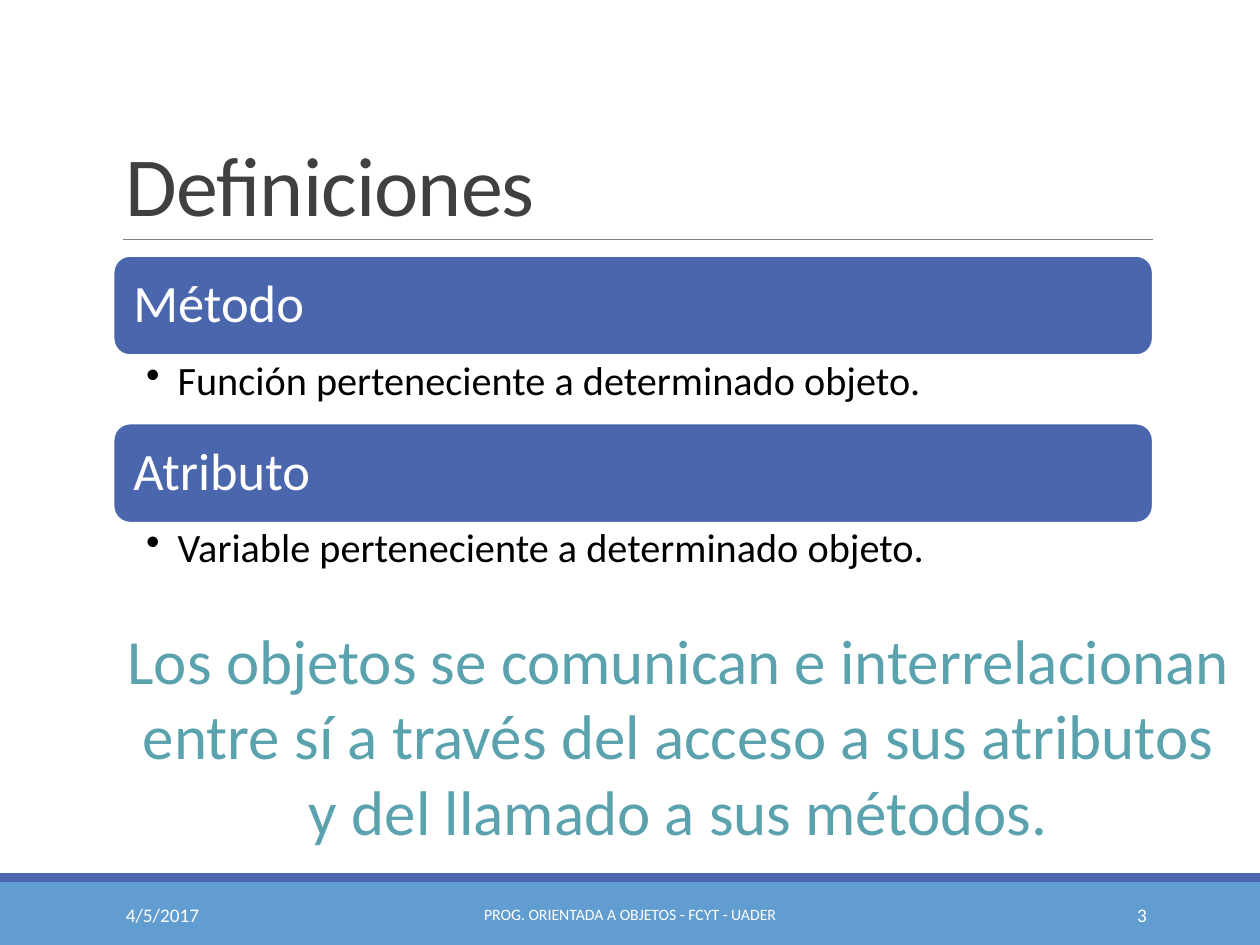
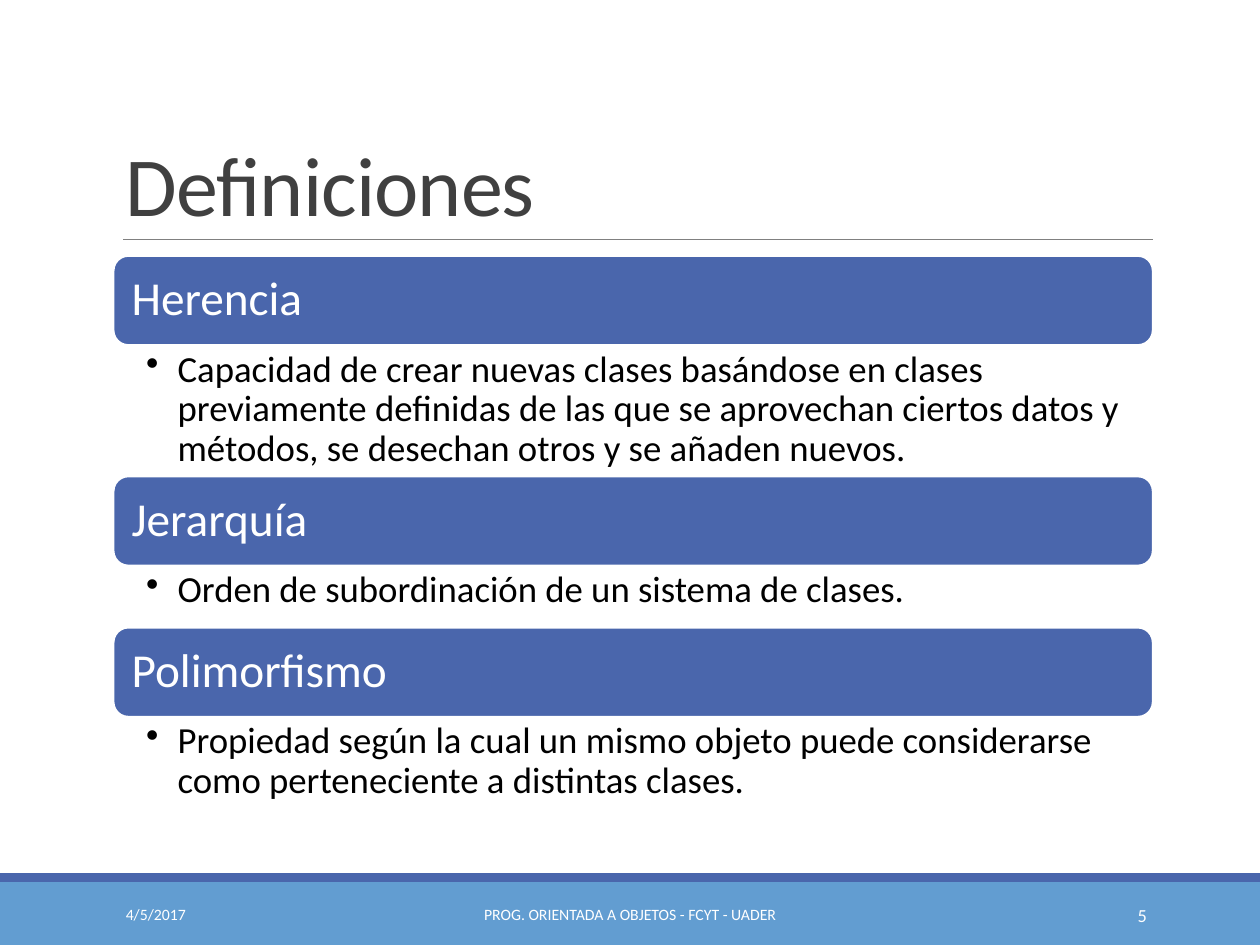
from lxml.etree import SubElement
from pptx import Presentation
from pptx.dml.color import RGBColor
from pptx.enum.shapes import MSO_CONNECTOR, MSO_SHAPE as Shape
from pptx.enum.text import MSO_ANCHOR as Anchor, PP_ALIGN as Align
from pptx.oxml.ns import qn
from pptx.util import Inches, Pt

WHITE = RGBColor(0xFF, 0xFF, 0xFF)
BLACK = RGBColor(0, 0, 0)
CHARCOAL = RGBColor(0x40, 0x40, 0x40)
GRAY = RGBColor(0x80, 0x80, 0x80)
SKY = RGBColor(0x62, 0x9D, 0xD1)
BLUE = RGBColor(0x4A, 0x66, 0xAC)
TEAL = RGBColor(0x5A, 0xA2, 0xAE)
FONT = "Calibri"
LEFT, WIDTH = 0.9, 8.25
FOOTER = "PROG. ORIENTADA A OBJETOS - FCYT - UADER"


class Deck:
    def __init__(self):
        self.presentation = Presentation()
        self.presentation.slide_width = Inches(10)
        self.presentation.slide_height = Inches(7.5)
        self.slide = None

    def new_slide(self, title, date_size, number, number_size):
        self.slide = self.presentation.slides.add_slide(self.presentation.slide_layouts[6])
        self.shape(Shape.RECTANGLE, 0, 7, 10, 0.5, SKY)
        self.shape(Shape.RECTANGLE, 0, 6.93, 10, 0.07, BLUE)
        self.rule(0.98, 9.15, 1.9)
        self.title(title)
        self.text(LEFT, 7.06, 2.03, 0.4, "4/5/2017", date_size, WHITE, anchor=Anchor.MIDDLE)
        self.text(3.02, 7.06, 3.96, 0.4, FOOTER, 9, WHITE, Align.CENTER, Anchor.MIDDLE)
        self.text(8.12, 7.06, 1.08, 0.4, number, number_size, WHITE, Align.RIGHT, Anchor.MIDDLE)

    def shape(self, kind, left, top, width, height, fill):
        shape = self.slide.shapes.add_shape(
            kind, Inches(left), Inches(top), Inches(width), Inches(height))
        shape.shadow.inherit = False
        shape.fill.solid()
        shape.fill.fore_color.rgb = fill
        shape.line.fill.background()
        return shape

    def rule(self, start, end, top):
        line = self.slide.shapes.add_connector(
            MSO_CONNECTOR.STRAIGHT, Inches(start), Inches(top), Inches(end), Inches(top))
        line.line.color.rgb = GRAY
        line.line.width = Pt(0.5)
        SubElement(line._element.spPr, qn("a:effectLst"))

    def fill_text(self, text_frame, text, size, color, align=Align.LEFT, anchor=Anchor.TOP,
                  spacing=None):
        text_frame.text = text
        text_frame.word_wrap = True
        text_frame.vertical_anchor = anchor
        for paragraph in text_frame.paragraphs:
            paragraph.alignment = align
            paragraph.line_spacing = spacing
            for run in paragraph.runs:
                run.font.name = FONT
                run.font.size = Pt(size)
                run.font.color.rgb = color

    def text(self, left, top, width, height, text, size, color, align=Align.LEFT,
             anchor=Anchor.TOP, spacing=None):
        box = self.slide.shapes.add_textbox(
            Inches(left), Inches(top), Inches(width), Inches(height))
        self.fill_text(box.text_frame, text, size, color, align, anchor, spacing)
        return box.text_frame

    def title(self, text):
        text_frame = self.text(LEFT, 0.31, WIDTH, 1.59, text, 48, CHARCOAL,
                               anchor=Anchor.BOTTOM, spacing=0.85)
        text_frame.paragraphs[0].runs[0]._r.get_or_add_rPr().set("spc", "-50")

    def heading(self, top, height, text, size, inset):
        bar = self.shape(Shape.ROUNDED_RECTANGLE, LEFT, top, WIDTH, height, BLUE)
        bar.line.color.rgb = WHITE
        bar.line.width = Pt(1.25)
        self.fill_text(bar.text_frame, text, size, WHITE, anchor=Anchor.MIDDLE, spacing=0.9)
        bar.text_frame.margin_left = bar.text_frame.margin_right = Inches(inset)

    def bullet(self, top, height, text, size, right_inset):
        text_frame = self.text(LEFT, top, WIDTH, height, text, size, BLACK, spacing=0.9)
        text_frame.margin_left = Inches(0.26)
        text_frame.margin_right = Inches(right_inset)
        text_frame.margin_top = text_frame.margin_bottom = Inches(0.04)
        properties = text_frame.paragraphs[0]._p.get_or_add_pPr()
        properties.set("marL", str(Inches(0.25)))
        properties.set("indent", str(Inches(-0.25)))
        SubElement(properties, qn("a:buChar")).set("char", "•")

    def definitions(self, entries, bar_height, heading_size, body_size, inset, right_inset):
        top = 2.03
        for term, meaning, body_height in entries:
            self.heading(top, bar_height, term, heading_size, inset)
            self.bullet(top + bar_height, body_height, meaning, body_size, right_inset)
            top += bar_height + body_height

    def closing(self, text):
        text_frame = self.text(0.87, 4.88, 9.03, 1.92, text, 36, TEAL, Align.CENTER)
        text_frame.word_wrap = False


def main():
    deck = Deck()

    deck.new_slide("Definiciones", 11, "3", 11)
    deck.definitions([
        ("Método", "Función perteneciente a determinado objeto.", 0.54),
        ("Atributo", "Variable perteneciente a determinado objeto.", 0.54),
    ], 0.79, 30, 23, 0.12, 0.23)
    deck.closing("Los objetos se comunican e interrelacionan\n"
                 "entre sí a través del acceso a sus atributos\n"
                 "y del llamado a sus métodos.")

    deck.new_slide("Definiciones", 9, "5", 10.5)
    deck.definitions([
        ("Herencia", "Capacidad de crear nuevas clases basándose en clases previamente "
                     "definidas de las que se aprovechan ciertos datos y métodos, "
                     "se desechan otros y se añaden nuevos.", 1.04),
        ("Jerarquía", "Orden de subordinación de un sistema de clases.", 0.49),
        ("Polimorfismo", "Propiedad según la cual un mismo objeto puede considerarse "
                         "como perteneciente a distintas clases.", 0.72),
    ], 0.71, 27, 21, 0.11, 0.21)

    deck.presentation.save("out.pptx")


if __name__ == "__main__":
    main()
